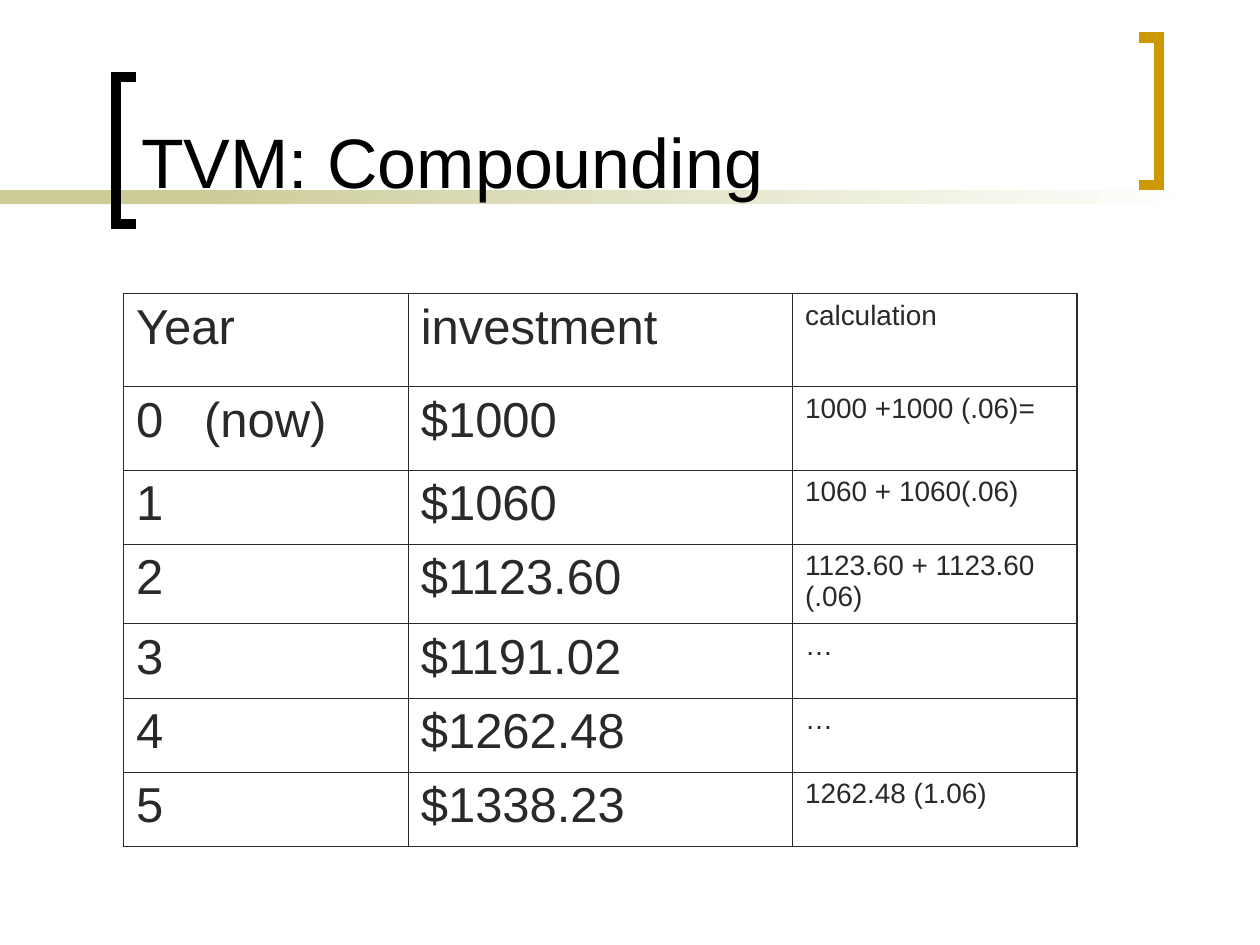
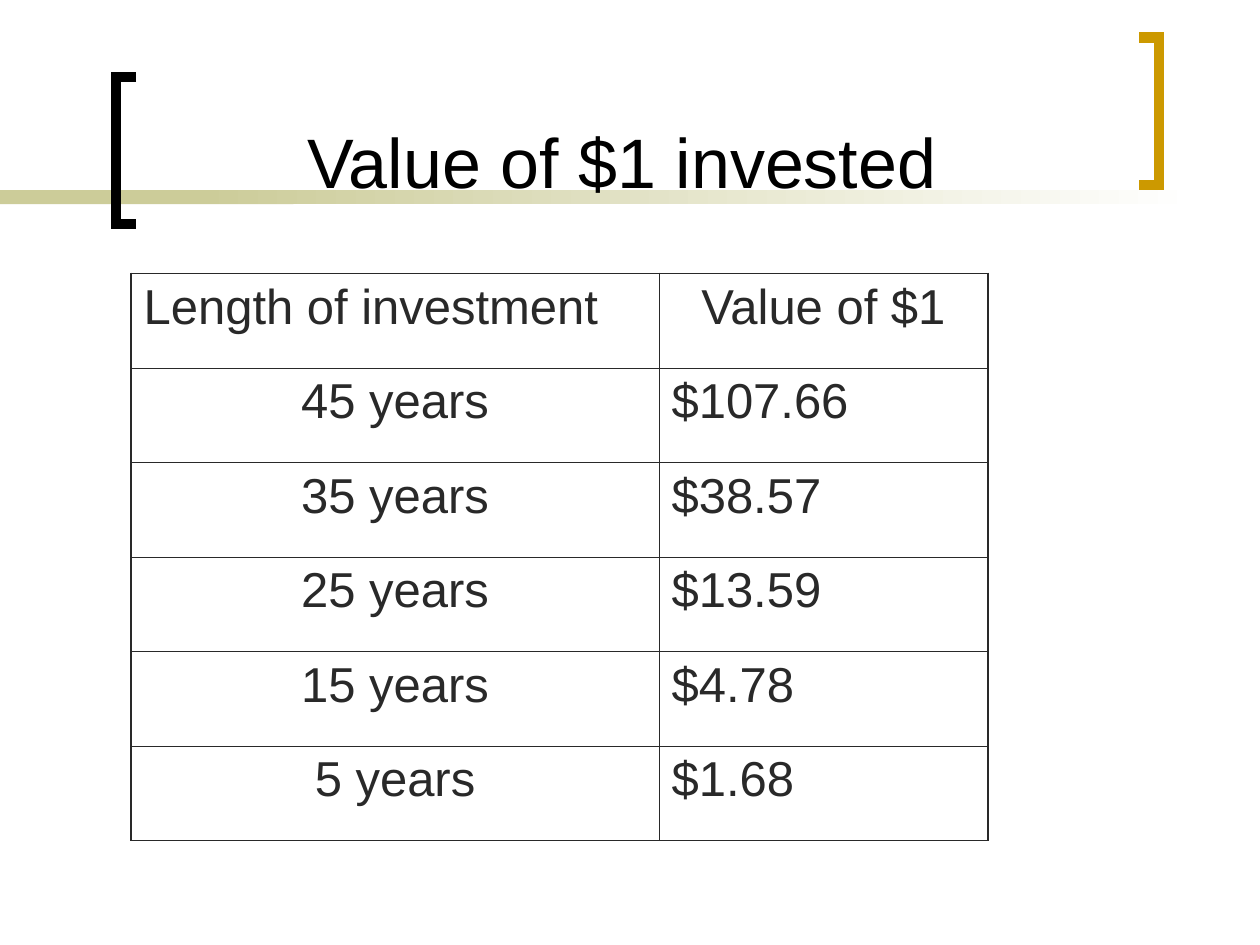
"""Build two slides on the time value of money."""
from lxml import etree
from pptx import Presentation, util as u
from pptx.dml.color import RGBColor
from pptx.enum import shapes, text
from pptx.oxml import ns

BLACK, GOLD, SAND, INK, WHITE = "000000", "CC9900", "CCCC99", "292929", "FFFFFF"
FONT = "Arial"
THIN, THICK = 0.45, 1.08
LEFT, MID = text.PP_ALIGN.LEFT, text.PP_ALIGN.CENTER

GROWTH = [
    ("Year", "investment", "calculation"),
    ("0\t(now)", "$1000", "1000 +1000 (.06)="),
    ("1", "$1060", "1060 + 1060(.06)"),
    ("2", "$1123.60", "1123.60 + 1123.60 (.06)"),
    ("3", "$1191.02", "…"),
    ("4", "$1262.48", "…"),
    ("5", "$1338.23", "1262.48 (1.06)"),
]
VALUES = [
    ("Length of investment", "Value of $1"),
    ("45 years", "$107.66"),
    ("35 years", "$38.57"),
    ("25 years", "$13.59"),
    ("15 years", "$4.78"),
    ("5 years", "$1.68"),
]


def rgb(code):
    """Turn a hex string into a colour."""
    return RGBColor.from_string(code)


def apply(item, form):
    """Set each attribute named in a dict."""
    for name, value in form.items():
        setattr(item, name, value)


def style(para, size, color, align):
    """Format one paragraph."""
    para.alignment = align
    apply(para.font, {"size": u.Pt(size), "name": FONT, "bold": False})
    para.font.color.rgb = rgb(color)


def place(item, left, top, width, height):
    """Move and size a shape."""
    names = ("left", "top", "width", "height")
    apply(item, dict(zip(names, map(u.Inches, (left, top, width, height)))))


def band(slide, left, width, fade=False):
    """Add a strip under the title, plain or fading to white."""
    box = [u.Inches(n) for n in (left, 1.51, width, 0.11)]
    strip = slide.shapes.add_shape(shapes.MSO_SHAPE.RECTANGLE, *box)
    strip.shadow.inherit = False
    strip.line.fill.background()
    if fade:
        strip.fill.gradient()
        strip.fill.gradient_angle = 0
        for stop, color in zip(strip.fill.gradient_stops, (SAND, WHITE)):
            stop.color.rgb = rgb(color)
    else:
        strip.fill.solid()
        strip.fill.fore_color.rgb = rgb(SAND)
    return strip


def bracket(slide, tip, spine, top, color):
    """Add a square bracket that opens from its spine to its tips."""
    low = top + 1.17
    dots = [(u.Inches(x), u.Inches(y))
            for x, y in ((tip, top), (spine, top), (spine, low), (tip, low))]
    pen = slide.shapes.build_freeform(*dots[0])
    pen.add_line_segments(dots[1:], close=False)
    mark = pen.convert_to_shape()
    mark.shadow.inherit = False
    mark.fill.background()
    mark.line.width = u.Pt(6)
    mark.line.color.rgb = rgb(color)
    etree.SubElement(mark.line._get_or_add_ln(), ns.qn("a:miter"), lim="800000")
    return mark


def dress(layout, slide):
    """Put the bands, brackets and title place on the layout."""
    for hold in list(layout.placeholders):
        if hold.placeholder_format.idx:
            hold.element.getparent().remove(hold.element)
        else:
            place(hold, 1.02, 0.11, 7.83, 1.55)
    marks = [band(slide, 0, 2.33), band(slide, 1.58, 7.92, True),
             bracket(slide, 1.08, 0.92, 0.61, BLACK),
             bracket(slide, 9.04, 9.2, 0.3, GOLD)]
    for spot, mark in enumerate(marks, 2):
        layout.shapes.element.insert(spot, mark.element)


def head(slide, words, align):
    """Fill the title placeholder."""
    title = slide.shapes.title
    place(title, 1.02, 0.11, 7.83, 1.55)
    frame = title.text_frame
    frame.text = words
    apply(frame, {"vertical_anchor": text.MSO_ANCHOR.BOTTOM, "word_wrap": True,
                  "auto_size": text.MSO_AUTO_SIZE.NONE})
    style(frame.paragraphs[0], 40, BLACK, align)


def edge(cell, widths):
    """Draw the left, right, top and bottom borders of a cell."""
    props = cell._tc.get_or_add_tcPr()
    for spot, (side, width) in enumerate(zip("LRTB", widths)):
        line = etree.Element(ns.qn(f"a:ln{side}"), w=str(u.Pt(width)))
        fill = etree.SubElement(line, ns.qn("a:solidFill"))
        etree.SubElement(fill, ns.qn("a:srgbClr"), val=INK)
        props.insert(spot, line)


def tab(para, inches):
    """Add a left tab stop to a paragraph."""
    stops = etree.SubElement(para._p.get_or_add_pPr(), ns.qn("a:tabLst"))
    etree.SubElement(stops, ns.qn("a:tab"), pos=str(u.Inches(inches)), algn="l")


def grid(slide, left, top, rows, wide, tall, size, align):
    """Add a ruled table; size and align give each cell its format."""
    box = [u.Inches(n) for n in (left, top, sum(wide), sum(tall))]
    table = slide.shapes.add_table(len(rows), len(wide), *box).table
    apply(table, {"first_row": False, "horz_banding": False})
    for col, width in zip(table.columns, wide):
        col.width = u.Inches(width)
    for row, height in zip(table.rows, tall):
        row.height = u.Inches(height)
    for r, row in enumerate(rows):
        for c, words in enumerate(row):
            cell = table.cell(r, c)
            cell.text = words
            cell.fill.solid()
            cell.fill.fore_color.rgb = rgb(WHITE)
            outer = (c == 0, c == len(wide) - 1, r == 0, r == len(rows) - 1)
            edge(cell, [THICK if out else THIN for out in outer])
            para = cell.text_frame.paragraphs[0]
            if "\t" in words:
                tab(para, 0.54)
            style(para, size(c), INK, align(r, c))


def main():
    """Build and save the deck."""
    deck = Presentation()
    apply(deck, {"slide_width": u.Inches(10), "slide_height": u.Inches(7.5)})
    layout = deck.slide_layouts[5]
    first, second = [deck.slides.add_slide(layout) for _ in range(2)]
    dress(layout, first)

    head(first, "TVM: Compounding", LEFT)
    grid(first, 0.98, 2.33, GROWTH, (2.26, 3.05, 2.26),
         (0.74, 0.66, 0.59, 0.63, 0.59, 0.59, 0.59),
         lambda c: 16 if c == 2 else 28, lambda r, c: LEFT)

    head(second, "Value of $1 invested", MID)
    grid(second, 1.04, 2.17, VALUES, (4.19, 2.61), [0.75] * len(VALUES),
         lambda c: 28, lambda r, c: MID if (r == 0) == (c == 1) else LEFT)
    deck.save("out.pptx")


if __name__ == "__main__":
    main()
